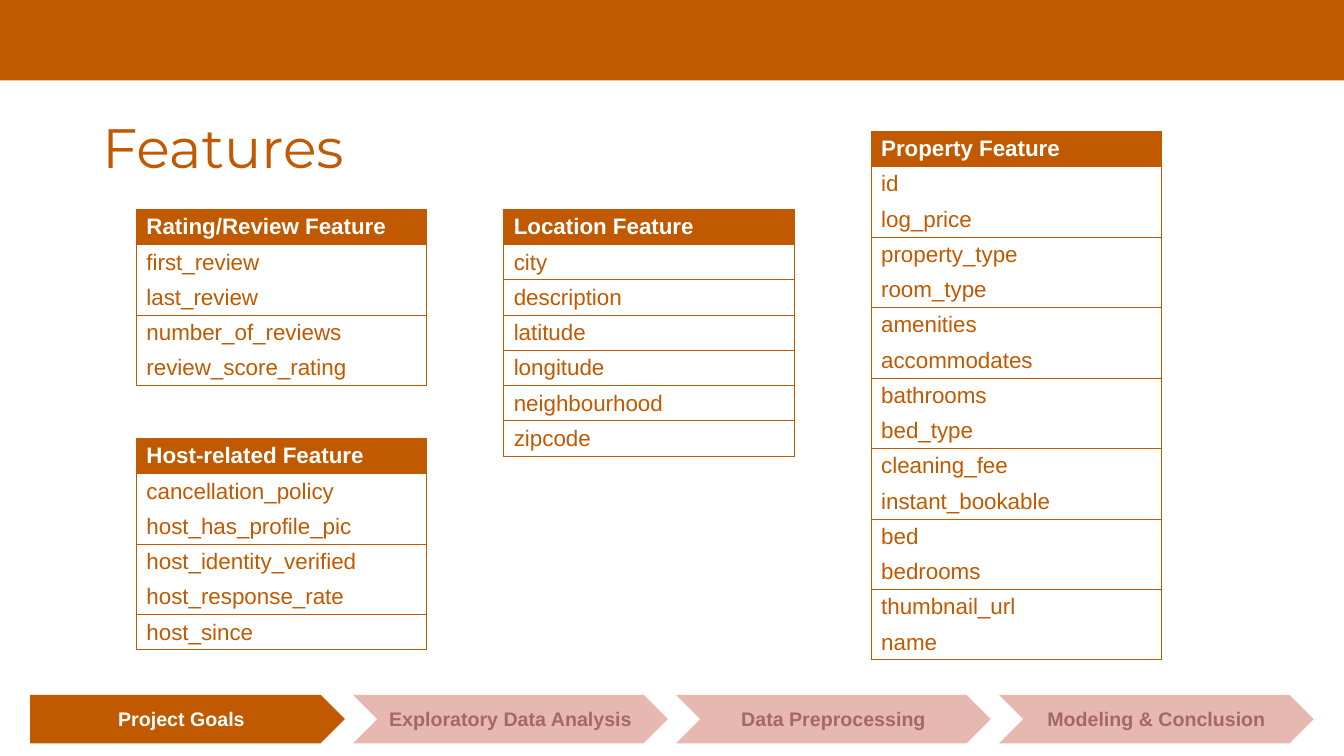
from pptx import Presentation
from pptx.dml.color import RGBColor
from pptx.enum.shapes import MSO_SHAPE
from pptx.enum.text import MSO_ANCHOR, PP_ALIGN
from pptx.oxml import parse_xml
from pptx.oxml.ns import nsdecls
from pptx.util import Pt

COLORS = {"orange": "C05900", "white": "FFFFFF", "pink": "E6B8AF", "mauve": "A56769"}
COLUMN_LEFT, COLUMN_STEP = 97.4, 262.4
TABLE_WIDTH, ROW_HEIGHT = 207.4, 25
STEP_LEFT, STEP_PITCH, STEP_WIDTH, STEP_HEIGHT = 21.6, 230.7, 224.8, 34.5

# heading, column, top, rows between horizontal rules, features
TABLES = [
    ("Property Feature", 2, 93.8, 2,
     ["id", "log_price", "property_type", "room_type", "amenities", "accommodates",
      "bathrooms", "bed_type", "cleaning_fee", "instant_bookable", "bed", "bedrooms",
      "thumbnail_url", "name"]),
    ("Rating/Review Feature", 0, 149.6, 2,
     ["first_review", "last_review", "number_of_reviews", "review_score_rating"]),
    ("Host-related Feature", 0, 313.2, 2,
     ["cancellation_policy", "host_has_profile_pic", "host_identity_verified",
      "host_response_rate", "host_since"]),
    ("Location Feature", 1, 149.6, 1,
     ["city", "description", "latitude", "longitude", "neighbourhood", "zipcode"]),
]
STEPS = ["Project Goals", "Exploratory Data Analysis", "Data Preprocessing",
         "Modeling & Conclusion"]


def style_text(p, size, color, bold=False, font="Arial"):
    f = p.runs[0].font
    f.name, f.size, f.bold = font, Pt(size), bold
    f.color.rgb = RGBColor.from_string(COLORS[color])


def set_borders(cell, visible):
    """Draw the named sides in orange and clear the others."""
    tcPr = cell._tc.get_or_add_tcPr()
    for i, side in enumerate(["L", "R", "T", "B"]):
        paint = "<a:noFill/>"
        if side in visible:
            paint = f'<a:solidFill><a:srgbClr val="{COLORS["orange"]}"/></a:solidFill>'
        tcPr.insert(i, parse_xml(
            f'<a:ln{side} {nsdecls("a")} w="9525">{paint}</a:ln{side}>'))


prs = Presentation()
prs.slide_width, prs.slide_height = Pt(960), Pt(540)
s = prs.slides.add_slide(prs.slide_layouts[6])

# Top band
band = s.shapes.add_shape(MSO_SHAPE.RECTANGLE, 0, 0, prs.slide_width, Pt(57.5))
band.shadow.inherit = False
band.fill.solid()
band.fill.fore_color.rgb = RGBColor.from_string(COLORS["orange"])
band.line.fill.background()

# Title
title = s.shapes.add_textbox(Pt(66), Pt(82), Pt(828), Pt(51))
tf = title.text_frame
tf.word_wrap = True
tf.vertical_anchor = MSO_ANCHOR.MIDDLE
tf.text = "Features"
tf.paragraphs[0].line_spacing = 0.9
style_text(tf.paragraphs[0], 39.6, "orange", font="Montserrat")

# Progress steps
for i, label in enumerate(STEPS):
    current = i == 0
    sp = s.shapes.add_shape(MSO_SHAPE.PENTAGON if current else MSO_SHAPE.CHEVRON,
                            Pt(STEP_LEFT + i * STEP_PITCH), Pt(496.4),
                            Pt(STEP_WIDTH), Pt(STEP_HEIGHT))
    sp.shadow.inherit = False
    sp.fill.solid()
    sp.fill.fore_color.rgb = RGBColor.from_string(COLORS["orange" if current else "pink"])
    sp.line.fill.background()
    tf = sp.text_frame
    tf.margin_left = tf.margin_right = tf.margin_top = tf.margin_bottom = Pt(7.2)
    tf.word_wrap = True
    tf.vertical_anchor = MSO_ANCHOR.MIDDLE
    tf.text = label
    tf.paragraphs[0].alignment = PP_ALIGN.CENTER
    style_text(tf.paragraphs[0], 14, "white" if current else "mauve", bold=True)

# Feature tables
for heading, column, top, group, features in TABLES:
    rows = [heading] + features
    table = s.shapes.add_table(len(rows), 1, Pt(COLUMN_LEFT + column * COLUMN_STEP), Pt(top),
                               Pt(TABLE_WIDTH), Pt(ROW_HEIGHT * len(rows))).table
    table.first_row = table.horz_banding = False
    for i, text in enumerate(rows):
        table.rows[i].height = Pt(ROW_HEIGHT)
        cell = table.cell(i, 0)
        cell.margin_top = cell.margin_bottom = Pt(3)
        cell.vertical_anchor = MSO_ANCHOR.MIDDLE
        cell.text = text
        style_text(cell.text_frame.paragraphs[0], 16, "orange" if i else "white", bold=i == 0)
        if i == 0:
            cell.fill.solid()
            cell.fill.fore_color.rgb = RGBColor.from_string(COLORS["orange"])
        else:
            cell.fill.background()
        starts_group = i == 0 or (i - 1) % group == 0
        ends_group = i % group == 0 or i == len(features)
        set_borders(cell, "LR" + "T" * starts_group + "B" * ends_group)

prs.save("out.pptx")
